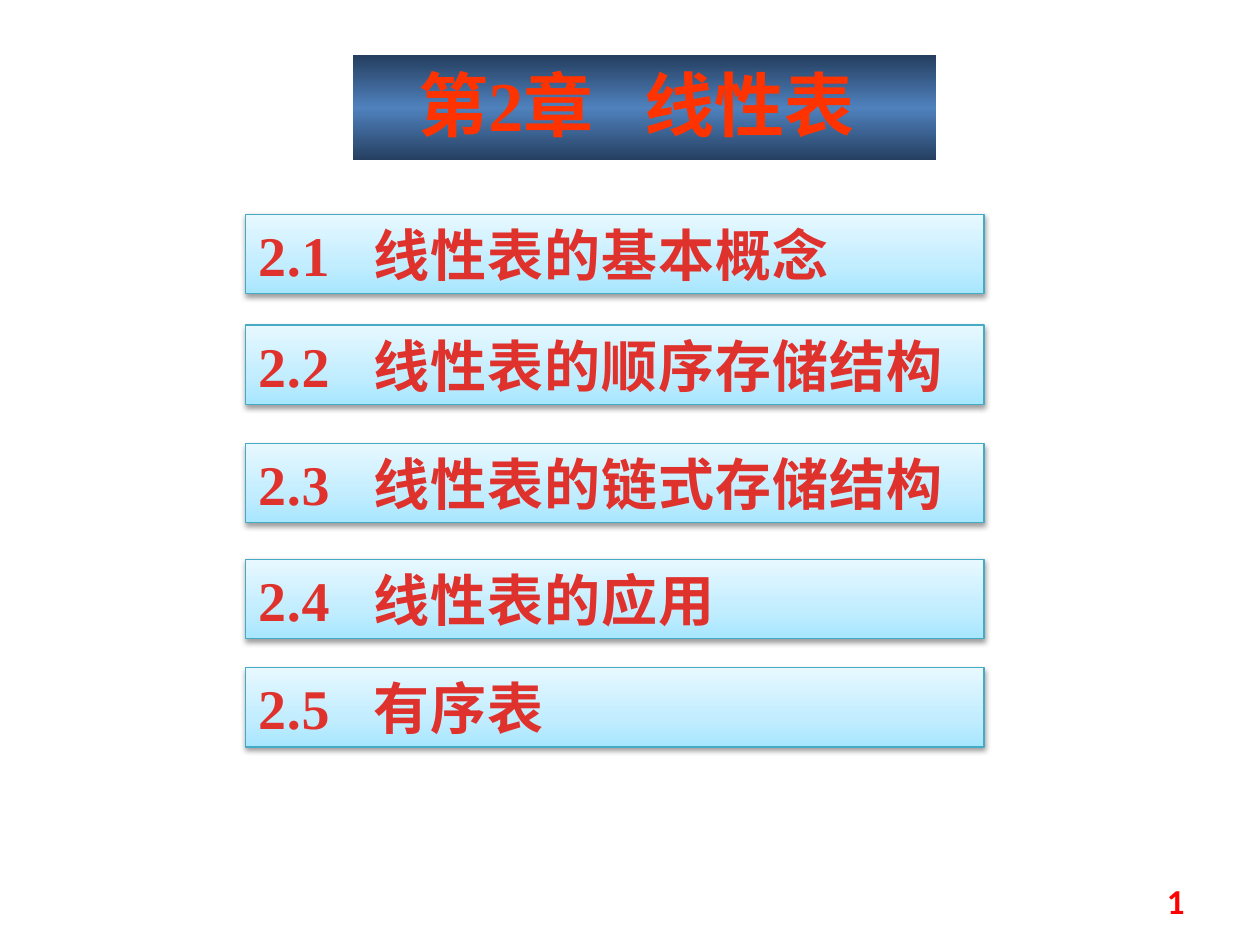
from lxml.etree import SubElement
from pptx import Presentation
from pptx.dml.color import RGBColor
from pptx.enum.shapes import MSO_SHAPE
from pptx.enum.text import MSO_ANCHOR, MSO_AUTO_SIZE, PP_ALIGN
from pptx.oxml.ns import qn
from pptx.util import Inches, Pt

COLORS = {
    "title": "FF3300",
    "title_edge": "253F60",
    "title_middle": "4F81BD",
    "panel_bottom": "A7E6FF",
    "panel_middle": "C1EDFF",
    "panel_top": "E7F8FF",
    "panel_line": "46AAC5",
    "section": "E0322D",
    "section_dark": "A2201C",
    "number": "FF0000",
    "shadow": "000000",
}
TITLE_STOPS = [(0, "title_edge"), (50, "title_middle"), (100, "title_edge")]
PANEL_STOPS = [(0, "panel_bottom"), (35, "panel_middle"), (100, "panel_top")]
SECTION_STOPS = [(25, "section"), (100, "section_dark")]
DOWNWARD, UPWARD = 270, 90

SECTIONS = [
    (1.7, "2.1", "线性表的基本概念"),
    (2.58, "2.2", "线性表的顺序存储结构"),
    (3.52, "2.3", "线性表的链式存储结构"),
    (4.44, "2.4", "线性表的应用"),
    (5.3, "2.5", "有序表"),
]


class ChapterSlide:
    font_name = "Times New Roman"

    def __init__(self, presentation):
        self.slide = presentation.slides.add_slide(presentation.slide_layouts[5])

    def color(self, name):
        return RGBColor.from_string(COLORS[name])

    def gradient(self, fill, parent, stops, angle):
        fill.gradient()
        fill.gradient_angle = angle
        stop_list = parent.find(qn("a:gradFill")).find(qn("a:gsLst"))
        for stop in list(stop_list):
            stop_list.remove(stop)
        for position, name in stops:
            stop = SubElement(stop_list, qn("a:gs"), pos=str(position * 1000))
            SubElement(stop, qn("a:srgbClr"), val=COLORS[name])

    def shadow(self, shape):
        shape.shadow.inherit = False
        effects = shape.element.spPr.find(qn("a:effectLst"))
        outer = SubElement(effects, qn("a:outerShdw"), blurRad="40000",
                           dist="20000", dir="5400000", rotWithShape="0")
        tint = SubElement(outer, qn("a:srgbClr"), val=COLORS["shadow"])
        SubElement(tint, qn("a:alpha"), val="38000")

    def run(self, paragraph, text, size, color, font_name=None, spacing=0):
        run = paragraph.add_run()
        run.text = text
        run.font.size = Pt(size)
        run.font.bold = True
        run.font.name = font_name or self.font_name
        run.font.color.rgb = self.color(color)
        if spacing:
            run.font._element.set("spc", str(int(spacing * 100)))
        return run

    def title(self):
        shape = self.slide.shapes.title
        shape.left, shape.top = Inches(2.8), Inches(0.44)
        shape.width, shape.height = Inches(4.63), Inches(0.77)
        self.gradient(shape.fill, shape.element.spPr, TITLE_STOPS, DOWNWARD)
        frame = shape.text_frame
        frame.auto_size = MSO_AUTO_SIZE.SHAPE_TO_FIT_TEXT
        frame.vertical_anchor = MSO_ANCHOR.TOP
        frame.margin_right = Inches(0.23)
        paragraph = frame.paragraphs[0]
        paragraph.alignment = PP_ALIGN.CENTER
        for text, spacing in [("第2章", 0), (" ", 20), ("线性表", 0)]:
            self.run(paragraph, text, 40, "title", spacing=spacing)

    def section(self, top, number, name):
        shape = self.slide.shapes.add_shape(
            MSO_SHAPE.RECTANGLE, Inches(1.95), Inches(top), Inches(5.86), Inches(0.63))
        self.gradient(shape.fill, shape.element.spPr, PANEL_STOPS, UPWARD)
        shape.line.color.rgb = self.color("panel_line")
        shape.line.width = Pt(0.75)
        self.shadow(shape)
        frame = shape.text_frame
        frame.word_wrap = True
        frame.auto_size = MSO_AUTO_SIZE.SHAPE_TO_FIT_TEXT
        frame.vertical_anchor = MSO_ANCHOR.TOP
        paragraph = frame.paragraphs[0]
        paragraph.alignment = PP_ALIGN.LEFT
        tabs = SubElement(paragraph._p.get_or_add_pPr(), qn("a:tabLst"))
        SubElement(tabs, qn("a:tab"), pos=str(Inches(0.92)), algn="l")
        for text in (number + "\t", name):
            run = self.run(paragraph, text, 32, "section", spacing=0.5)
            self.gradient(run.font.fill, run.font._element, SECTION_STOPS, DOWNWARD)

    def page_number(self, text):
        shape = self.slide.shapes.add_textbox(
            Inches(7.17), Inches(6.95), Inches(2.33), Inches(0.4))
        frame = shape.text_frame
        frame.word_wrap = True
        frame.vertical_anchor = MSO_ANCHOR.MIDDLE
        paragraph = frame.paragraphs[0]
        paragraph.alignment = PP_ALIGN.RIGHT
        self.run(paragraph, text, 20, "number", font_name="Calibri")


def main():
    presentation = Presentation()
    presentation.slide_width = Inches(10)
    presentation.slide_height = Inches(7.5)
    chapter = ChapterSlide(presentation)
    chapter.title()
    for top, number, name in SECTIONS:
        chapter.section(top, number, name)
    chapter.page_number("1")
    presentation.save("out.pptx")


if __name__ == "__main__":
    main()
